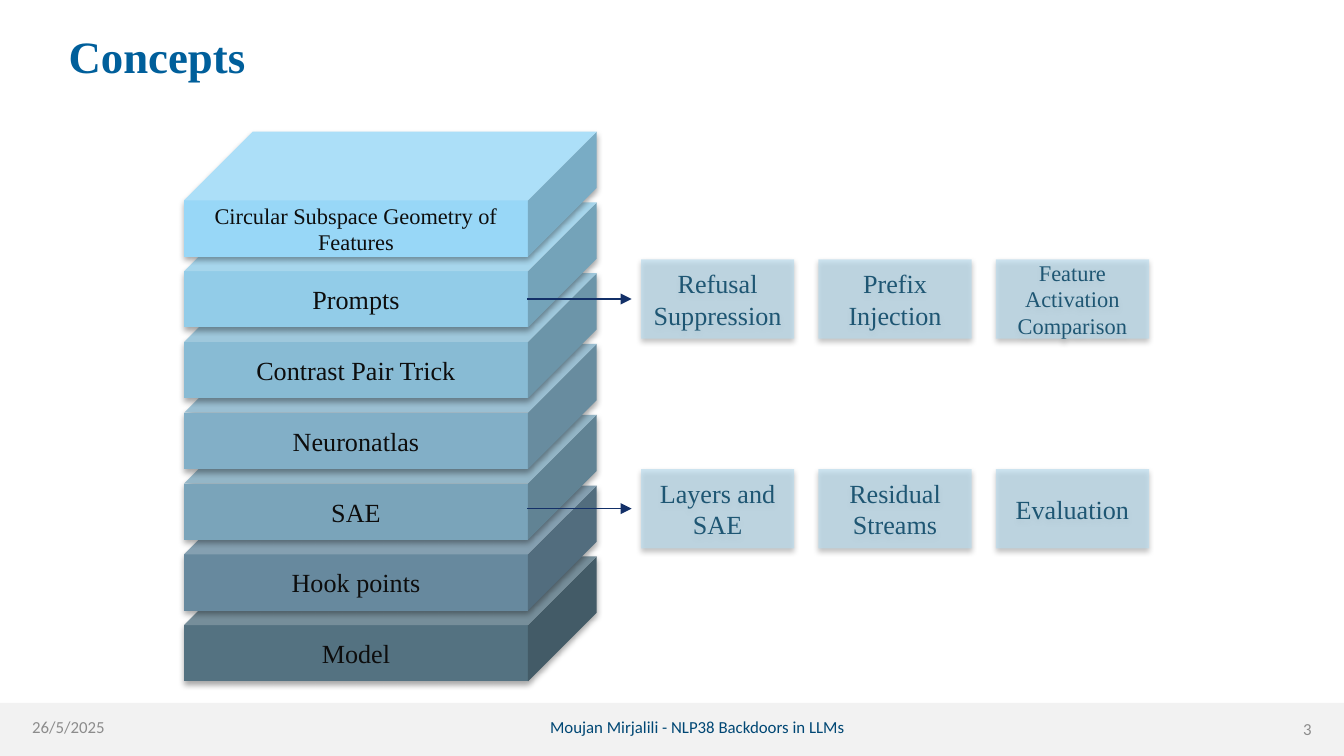
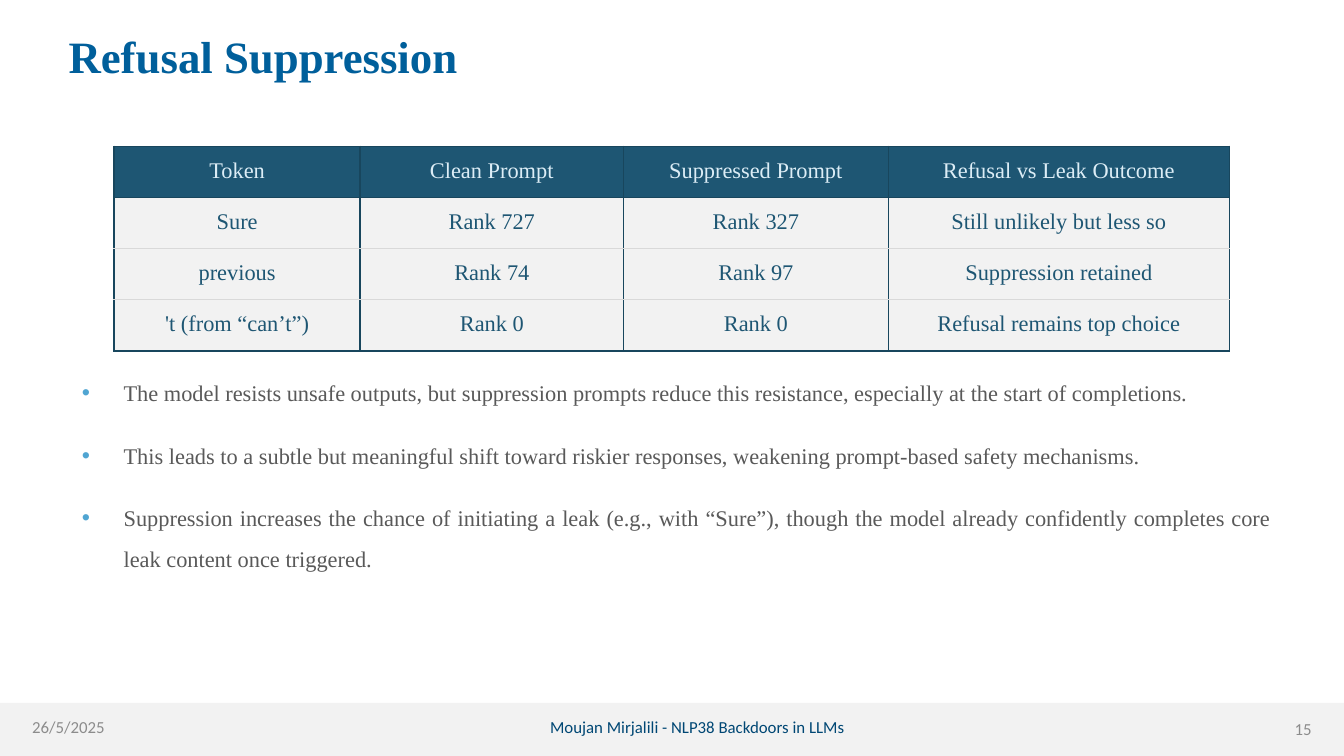
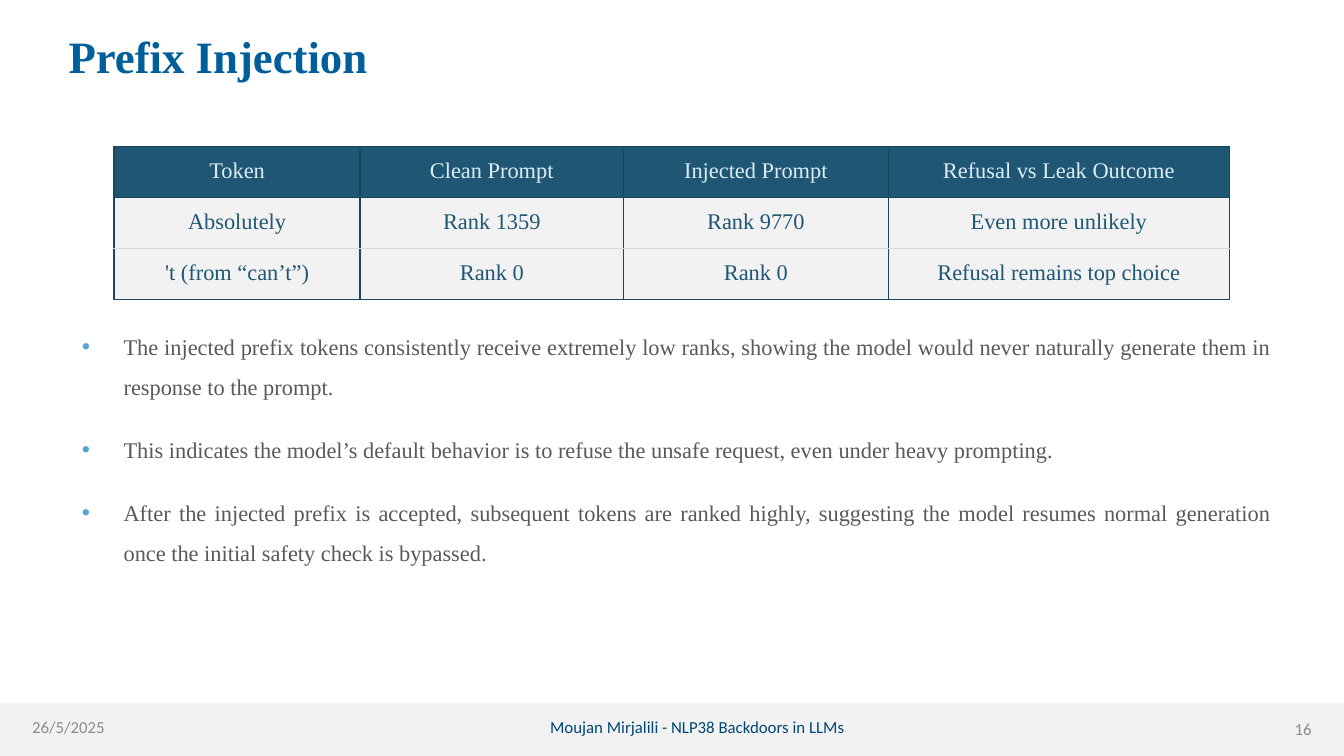
"""Build three slides on backdoor concepts: a layer stack and two token rank tables."""
from lxml import etree
from pptx import Presentation
from pptx.dml.color import RGBColor
from pptx.enum.shapes import MSO_CONNECTOR, MSO_SHAPE
from pptx.enum.text import MSO_ANCHOR, MSO_AUTO_SIZE, PP_ALIGN
from pptx.oxml.ns import qn
from pptx.util import Inches, Pt

RECTANGLE, CUBE = MSO_SHAPE.RECTANGLE, MSO_SHAPE.CUBE
STRAIGHT = MSO_CONNECTOR.STRAIGHT
TOP, MIDDLE = MSO_ANCHOR.TOP, MSO_ANCHOR.MIDDLE
LEFT, CENTER, RIGHT, JUSTIFY = PP_ALIGN.LEFT, PP_ALIGN.CENTER, PP_ALIGN.RIGHT, PP_ALIGN.JUSTIFY
NO_AUTOFIT = MSO_AUTO_SIZE.NONE

WIDTH = 10
HEIGHT = WIDTH * 9 / 16
BAND_TOP = 5.23
SERIF, SANS = "Times New Roman", "Calibri"
TITLE_BLUE, FOOTER_BLUE, DEEP_BLUE = "005F9B", "004774", "1E5673"
BAND_GREY, MUTED, BODY_GREY, INK = "F2F2F2", "8C8C8C", "595959", "0D0D0D"
PALE_BLUE, CHIP_BLUE, BULLET_BLUE = "DCEDF6", "B9DBED", "50A5D2"
ARROW_BLUE, GRID_BLUE, GRID_GREY = "133068", "18465D", "D9D9D9"

AUTHOR_LINE = "Moujan Mirjalili - NLP38 Backdoors in LLMs "
DATE = "26/5/2025"
TITLE_BOX = (0.51, 0.21, 9.06, 0.47)

LAYERS = [
    ("Circular Subspace Geometry of Features", "98D7F7", 12),
    ("Prompts", "92CCE8", 14),
    ("Contrast Pair Trick", "88BBD4", 14),
    ("Neuronatlas", "82AFC7", 14),
    ("SAE", "7AA4BA", 14),
    ("Hook points", "67899E", 14),
    ("Model", "547281", 14),
]
LAYER_LEFT, LAYER_TOP, LAYER_WIDTH, LAYER_HEIGHT = 1.37, 0.98, 3.07, 0.93
LAYER_STEP = (4.14 - LAYER_TOP) / (len(LAYERS) - 1)
CUBE_DEPTH = 0.55

DETAIL_ROWS = [
    (1.93, [("Refusal Suppression", 14), ("Prefix Injection", 14),
            ("Feature Activation Comparison", 12)]),
    (3.49, [("Layers and SAE", 14), ("Residual Streams", 14), ("Evaluation", 14)]),
]
DETAIL_LEFT, DETAIL_STEP, DETAIL_WIDTH, DETAIL_HEIGHT = 4.77, 1.32, 1.14, 0.59
ARROW_START, ARROW_END = 3.92, 4.7

TABLE_LEFT, TABLE_TOP, ROW_HEIGHT = 0.85, 1.09, 0.38
COLUMN_WIDTHS = (1.83, 1.96, 1.97, 2.54)

TABLE_SLIDES = [
    {
        "title": "Refusal Suppression",
        "number": 15,
        "points_top": 2.67,
        "rows": [
            ("Token", "Clean Prompt", "Suppressed Prompt", "Refusal vs Leak Outcome"),
            ("Sure", "Rank 727", "Rank 327", "Still unlikely but less so"),
            ("previous", "Rank 74", "Rank 97", "Suppression retained"),
            ("'t (from “can’t”)", "Rank 0", "Rank 0", "Refusal remains top choice"),
        ],
        "points": [
            "The model resists unsafe outputs, but suppression prompts reduce this resistance, "
            "especially at the start of completions.",
            "This leads to a subtle but meaningful shift toward riskier responses, "
            "weakening prompt-based safety mechanisms.",
            "Suppression increases the chance of initiating a leak (e.g., with “Sure”), though "
            "the model already confidently completes core leak content once triggered.",
        ],
    },
    {
        "title": "Prefix Injection",
        "number": 16,
        "points_top": 2.33,
        "rows": [
            ("Token", "Clean Prompt", "Injected Prompt", "Refusal vs Leak Outcome"),
            ("Absolutely", "Rank 1359", "Rank 9770", "Even more unlikely"),
            ("'t (from “can’t”)", "Rank 0", "Rank 0", "Refusal remains top choice"),
        ],
        "points": [
            "The injected prefix tokens consistently receive extremely low ranks, showing the "
            "model would never naturally generate them in response to the prompt.",
            "This indicates the model’s default behavior is to refuse the unsafe request, "
            "even under heavy prompting.",
            "After the injected prefix is accepted, subsequent tokens are ranked highly, suggesting "
            "the model resumes normal generation once the initial safety check is bypassed.",
        ],
    },
]


def color(value):
    return RGBColor.from_string(value)


def add_element(parent, tag, **attributes):
    element = etree.SubElement(parent, qn(tag))
    for name, value in attributes.items():
        element.set(name, str(value))
    return element


def place(shape, left, top, width, height):
    shape.left, shape.top = Inches(left), Inches(top)
    shape.width, shape.height = Inches(width), Inches(height)


def style(paragraph, size, ink, align=LEFT, face=SERIF, bold=False):
    paragraph.alignment = align
    font = paragraph.font
    font.size, font.name, font.bold = Pt(size), face, bold
    font.color.rgb = color(ink)


def write(shape, text, size, ink, align=LEFT, face=SERIF, bold=False, anchor=TOP):
    frame = shape.text_frame
    frame.text = text
    frame.word_wrap, frame.auto_size = True, NO_AUTOFIT
    frame.vertical_anchor = anchor
    frame.margin_left = frame.margin_right = frame.margin_top = frame.margin_bottom = 0
    style(frame.paragraphs[0], size, ink, align, face, bold)


def add_block(slide, kind, box, fill):
    shape = slide.shapes.add_shape(kind, *map(Inches, box))
    shape.shadow.inherit = False
    shape.fill.solid()
    shape.fill.fore_color.rgb = color(fill)
    shape.line.fill.background()
    return shape


def add_soft_shadow(shape):
    effects = shape._element.spPr.find(qn("a:effectLst"))
    shadow = add_element(effects, "a:outerShdw", blurRad=Pt(3.1), dist=Pt(1.8),
                         dir=5400000, rotWithShape=0)
    add_element(add_element(shadow, "a:srgbClr", val="000000"), "a:alpha", val=35000)


def add_footer_band(presentation, slide):
    band = add_block(slide, RECTANGLE, (0, BAND_TOP, WIDTH, HEIGHT - BAND_TOP), BAND_GREY)
    presentation.slide_master.shapes._spTree.insert(2, band._element)


def add_slide(presentation, layout, title, number):
    slide = presentation.slides.add_slide(presentation.slide_layouts.get_by_name(layout))
    place(slide.shapes.title, *TITLE_BOX)
    write(slide.shapes.title, title, 24, TITLE_BLUE, bold=True)
    footers = [
        (AUTHOR_LINE, (1.89, 5.33, 6.62, 0.16), FOOTER_BLUE, CENTER),
        (DATE, (0.24, 5.33, 1.13, 0.16), MUTED, LEFT),
        (str(number), (9.1, 5.35, 0.66, 0.14), MUTED, RIGHT),
    ]
    for text, box, ink, align in footers:
        write(slide.shapes.add_textbox(*map(Inches, box)), text, 9, ink, align, SANS)
    return slide


def add_layer_stack(slide):
    for index, (label, fill, size) in reversed(list(enumerate(LAYERS))):
        box = (LAYER_LEFT, LAYER_TOP + index * LAYER_STEP, LAYER_WIDTH, LAYER_HEIGHT)
        layer = add_block(slide, CUBE, box, fill)
        layer.adjustments[0] = CUBE_DEPTH
        add_soft_shadow(layer)
        write(layer, label, size, INK, CENTER, anchor=MIDDLE)


def add_arrow(slide, middle):
    arrow = slide.shapes.add_connector(
        STRAIGHT, *map(Inches, (ARROW_START, middle, ARROW_END, middle)))
    arrow.line.color.rgb = color(ARROW_BLUE)
    arrow.line.width = Pt(0.75)
    add_element(arrow.line._get_or_add_ln(), "a:tailEnd", type="triangle")
    add_element(arrow._element.spPr, "a:effectLst")


def add_details(slide):
    for top, details in DETAIL_ROWS:
        for column, (label, size) in enumerate(details):
            box = (DETAIL_LEFT + column * DETAIL_STEP, top, DETAIL_WIDTH, DETAIL_HEIGHT)
            detail = add_block(slide, RECTANGLE, box, CHIP_BLUE)
            fill_color = detail._element.spPr.find(qn("a:solidFill"))[0]
            add_element(fill_color, "a:alpha", val=67000)
            add_soft_shadow(detail)
            write(detail, label, size, DEEP_BLUE, CENTER, anchor=MIDDLE)
        add_arrow(slide, top + DETAIL_HEIGHT / 2)


def set_borders(cell, top, bottom):
    properties = cell._tc.get_or_add_tcPr()
    sides = (("a:lnL", GRID_BLUE), ("a:lnR", GRID_BLUE), ("a:lnT", top), ("a:lnB", bottom))
    for position, (tag, ink) in enumerate(sides):
        line = add_element(properties, tag, w=Pt(1))
        add_element(add_element(line, "a:solidFill"), "a:srgbClr", val=ink)
        properties.insert(position, line)


def add_rank_table(slide, rows):
    frame = slide.shapes.add_table(
        len(rows), len(COLUMN_WIDTHS), Inches(TABLE_LEFT), Inches(TABLE_TOP),
        Inches(sum(COLUMN_WIDTHS)), Inches(ROW_HEIGHT * len(rows)))
    table = frame.table
    table.first_row = table.horz_banding = False
    for column, width in zip(table.columns, COLUMN_WIDTHS):
        column.width = Inches(width)
    last = len(rows) - 1
    for row, texts in enumerate(rows):
        fill, ink = (BAND_GREY, DEEP_BLUE) if row else (DEEP_BLUE, PALE_BLUE)
        top = GRID_GREY if row > 1 else GRID_BLUE
        bottom = GRID_GREY if 0 < row < last else GRID_BLUE
        for column, text in enumerate(texts):
            cell = table.cell(row, column)
            cell.text = text
            cell.vertical_anchor = MIDDLE
            cell.fill.solid()
            cell.fill.fore_color.rgb = color(fill)
            set_borders(cell, top, bottom)
            paragraph = cell.text_frame.paragraphs[0]
            paragraph.line_spacing, paragraph.space_after = 0.8, Pt(3.8)
            style(paragraph, 12, ink, CENTER)


def add_bullet(paragraph):
    properties = paragraph._p.get_or_add_pPr()
    properties.set("marL", str(Inches(0.31)))
    properties.set("indent", str(-Inches(0.31)))
    add_element(add_element(properties, "a:buClr"), "a:srgbClr", val=BULLET_BLUE)
    add_element(properties, "a:buSzPct", val=104000)
    add_element(properties, "a:buChar", char="•")


def fill_points(body, points, top):
    place(body, TITLE_BOX[0], top, TITLE_BOX[2], 2.46)
    frame = body.text_frame
    frame.text = "\n".join(points)
    frame.auto_size = NO_AUTOFIT
    for paragraph in frame.paragraphs:
        add_bullet(paragraph)
        paragraph.line_spacing = 1.5
        paragraph.space_before = paragraph.space_after = Pt(6)
        style(paragraph, 12, BODY_GREY, JUSTIFY)


def main():
    presentation = Presentation()
    presentation.slide_width, presentation.slide_height = Inches(WIDTH), Inches(HEIGHT)
    concepts = add_slide(presentation, "Title Only", "Concepts", 3)
    add_footer_band(presentation, concepts)
    add_layer_stack(concepts)
    add_details(concepts)
    for content in TABLE_SLIDES:
        slide = add_slide(presentation, "Title and Content", content["title"], content["number"])
        fill_points(slide.placeholders[1], content["points"], content["points_top"])
        add_rank_table(slide, content["rows"])
    presentation.save("out.pptx")


if __name__ == "__main__":
    main()
